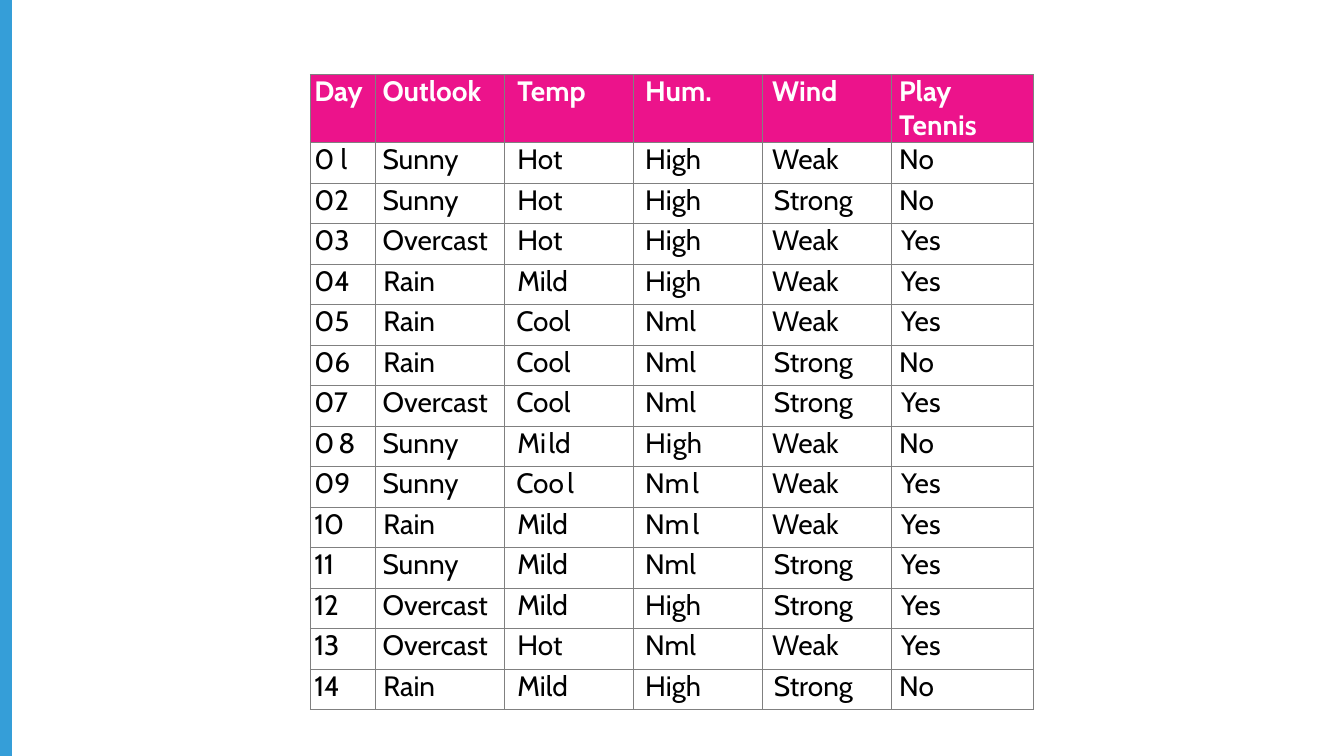
from pptx import Presentation
from pptx.dml.color import RGBColor
from pptx.enum.shapes import MSO_SHAPE as Shape
from pptx.oxml.ns import qn
from pptx.util import Cm, Pt
from lxml.etree import SubElement

BLUE = RGBColor(0x35, 0x9E, 0xD8)
PINK = RGBColor(0xEC, 0x13, 0x8B)
GRAY = RGBColor(0x80, 0x80, 0x80)
WHITE = RGBColor(0xFF, 0xFF, 0xFF)
BLACK = RGBColor(0x00, 0x00, 0x00)

FONT = "Cabin"
HEADER_HEIGHT, ROW_HEIGHT = Cm(1.71), Cm(1.02)
COLUMN_WIDTHS = [Cm(1.64)] + [Cm(3.25)] * 4 + [Cm(3.58)]
COLUMN_INDENTS = [Cm(0.1), Cm(0.18), Cm(0.33), Cm(0.3), Cm(0.25), Cm(0.2)]
WORD_INDENTS = {"Rain": Cm(0.2), "Cool": Cm(0.3), "Strong": Cm(0.29), "Yes": Cm(0.25)}

HEADERS = ["Day", "Outlook", "Temp", "Hum.", "Wind", "Play Tennis"]
DAYS = [
    ["0 l", "Sunny", "Hot", "High", "Weak", "No"],
    ["02", "Sunny", "Hot", "High", "Strong", "No"],
    ["03", "Overcast", "Hot", "High", "Weak", "Yes"],
    ["04", "Rain", "Mild", "High", "Weak", "Yes"],
    ["05", "Rain", "Cool", "Nml", "Weak", "Yes"],
    ["06", "Rain", "Cool", "Nml", "Strong", "No"],
    ["07", "Overcast", "Cool", "Nml", "Strong", "Yes"],
    ["08", "Sunny", "Mild", "High", "Weak", "No"],
    ["09", "Sunny", "Cool", "Nml", "Weak", "Yes"],
    ["10", "Rain", "Mild", "Nml", "Weak", "Yes"],
    ["11", "Sunny", "Mild", "Nml", "Strong", "Yes"],
    ["12", "Overcast", "Mild", "High", "Strong", "Yes"],
    ["13", "Overcast", "Hot", "Nml", "Weak", "Yes"],
    ["14", "Rain", "Mild", "High", "Strong", "No"],
]
# (row, column): runs with their letter spacing in points
SPACED_CELLS = {
    (8, 0): [("08", 3)],
    (8, 2): [("M", 0), ("i", 1.8), ("ld", 0)],
    (8, 3): [("H", 0), ("i", 0.6), ("gh", 0)],
    (9, 2): [("Co", 0), ("o", 2.5), ("l", 0)],
    (9, 3): [("N", 0), ("m", 2), ("l", 0)],
    (10, 3): [("N", 0), ("m", 2.1), ("l", 0)],
}


def add_side_bar(page, height):
    bar = page.shapes.add_shape(Shape.RECTANGLE, 0, 0, Cm(0.3), height)
    bar.shadow.inherit = False
    bar.fill.solid()
    bar.fill.fore_color.rgb = BLUE
    bar.line.fill.background()


def add_borders(cell):
    properties = cell._tc.get_or_add_tcPr()
    for side in ("a:lnL", "a:lnR", "a:lnT", "a:lnB"):
        line = SubElement(properties, qn(side), w=str(Pt(0.75)))
        fill = SubElement(line, qn("a:solidFill"))
        SubElement(fill, qn("a:srgbClr"), val=str(GRAY))


def write_cell(cell, spans, indent, is_header):
    cell.margin_left = cell.margin_right = cell.margin_top = cell.margin_bottom = 0
    para = cell.text_frame.paragraphs[0]
    para._p.get_or_add_pPr().set("marL", str(indent))
    for text, spacing in spans:
        span = para.add_run()
        span.text = text
        span.font.name = FONT
        span.font.size = Pt(20)
        span.font.bold = is_header
        span.font.color.rgb = WHITE if is_header else BLACK
        if spacing:
            span.font._element.set("spc", str(round(spacing * 100)))


def add_weather_table(page):
    rows = [HEADERS] + DAYS
    height = HEADER_HEIGHT + ROW_HEIGHT * len(DAYS)
    table = page.shapes.add_table(
        len(rows), len(HEADERS), Cm(7.82), Cm(1.88), sum(COLUMN_WIDTHS), height
    ).table
    table.horz_banding = False
    for column, width in zip(table.columns, COLUMN_WIDTHS):
        column.width = width
    for r, words in enumerate(rows):
        is_header = r == 0
        table.rows[r].height = HEADER_HEIGHT if is_header else ROW_HEIGHT
        for c, word in enumerate(words):
            cell = table.cell(r, c)
            spans = SPACED_CELLS.get((r, c), [(word, 0)])
            write_cell(cell, spans, WORD_INDENTS.get(word, COLUMN_INDENTS[c]), is_header)
            add_borders(cell)
            if is_header:
                cell.fill.solid()
                cell.fill.fore_color.rgb = PINK
            else:
                cell.fill.background()


def main():
    deck = Presentation()
    deck.slide_width, deck.slide_height = Cm(33.87), Cm(19.05)
    page = deck.slides.add_slide(deck.slide_layouts[6])
    add_side_bar(page, deck.slide_height)
    add_weather_table(page)
    deck.save("out.pptx")


if __name__ == "__main__":
    main()
